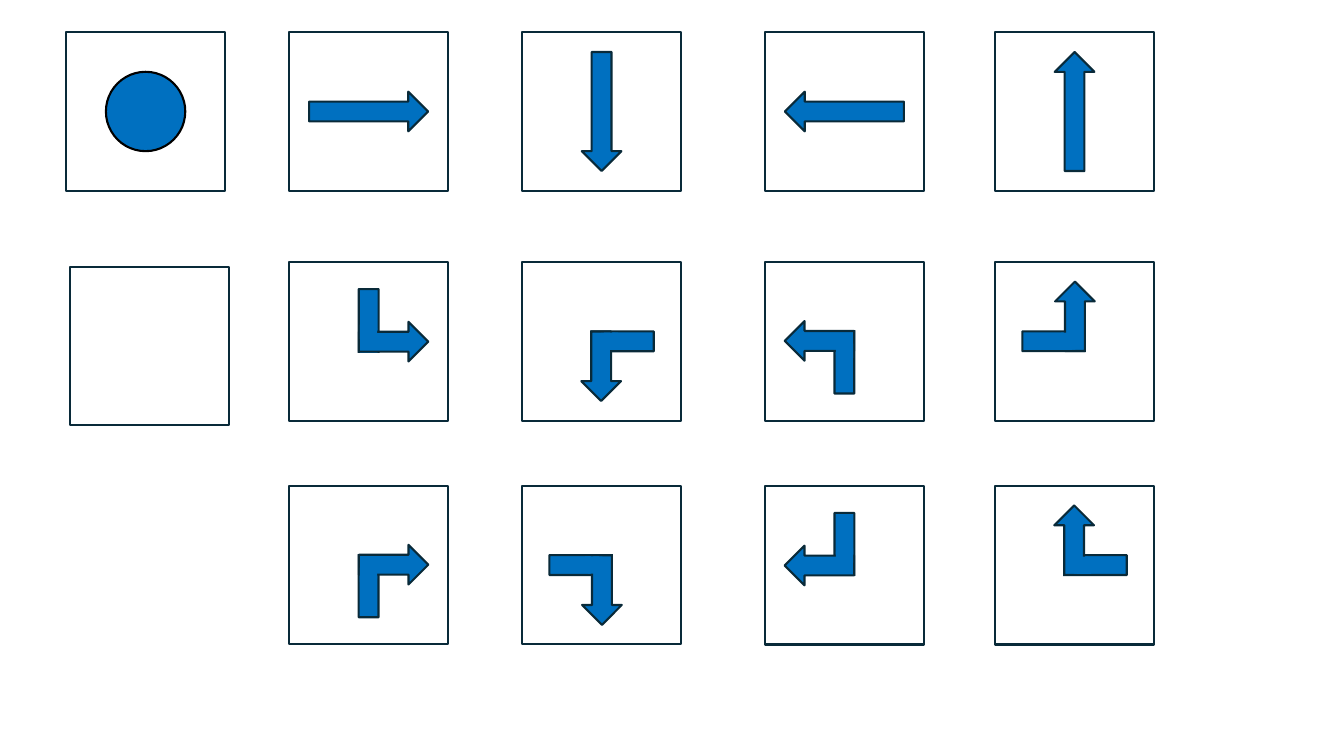
from dataclasses import dataclass
from pptx import Presentation
from pptx.dml.color import RGBColor
from pptx.enum.shapes import MSO_SHAPE as Preset
from pptx.util import Cm, Pt


@dataclass(frozen=True)
class Theme:
    paper: RGBColor = RGBColor(0xFF, 0xFF, 0xFF)
    symbol: RGBColor = RGBColor(0x00, 0x70, 0xC0)
    outline: RGBColor = RGBColor(0x09, 0x2A, 0x39)
    circle_outline: RGBColor = RGBColor(0x00, 0x00, 0x00)
    line_width: Pt = Pt(1.5)


THEME = Theme()

# All lengths are in centimetres.
TILE = 4
START_TILE = (1.67, 0.81)
EMPTY_TILE = (1.77, 6.72)
DIRECTION_LEFTS = (7.29, 13.16, 19.28, 25.08)  # right, down, left, up
STRAIGHT_TOP, TURN_TOP, MIRRORED_TURN_TOP = 0.81, 6.6, 12.24

CIRCLE = 2
STRAIGHT_SIZE = (3, 1)

# Parts of a turn that enters from the left and leaves upwards:
# preset, centre from the tile centre, size, rotation, fill, outline.
TURN_PARTS = (
    (Preset.RIGHT_ARROW, (-0.12, 0), (2.39, 1), 0,
     THEME.symbol, THEME.outline),
    (Preset.RECTANGLE, (0.91, 0.14), (1.2, 1.75), 0,
     THEME.paper, THEME.paper),
    (Preset.RIGHT_ARROW, (0.01, -0.63), (1.75, 1), 270,
     THEME.symbol, THEME.outline),
    (Preset.RECTANGLE, (-0.16, 0), (0.36, 0.43), 0, THEME.symbol, None),
    (Preset.RECTANGLE, (-0.24, 0.13), (0.36, 0.18), 0, THEME.symbol, None),
)


def add_figure(shapes, preset, centre, size, fill, outline=THEME.outline,
               rotation=0):
    """Add a filled preset shape around its centre."""
    (x, y), (width, height) = centre, size
    figure = shapes.add_shape(preset, Cm(x - width / 2), Cm(y - height / 2),
                              Cm(width), Cm(height))
    figure.shadow.inherit = False
    figure.rotation = rotation
    figure.fill.solid()
    figure.fill.fore_color.rgb = fill
    if outline is None:
        figure.line.fill.background()
    else:
        figure.line.color.rgb = outline
        figure.line.width = THEME.line_width


def add_tile(shapes, left, top, rotation=0):
    """Add a square tile and return its centre."""
    centre = (left + TILE / 2, top + TILE / 2)
    add_figure(shapes, Preset.RECTANGLE, centre, (TILE, TILE), THEME.paper,
               rotation=rotation)
    return centre


def add_start_tile(slide):
    card = slide.shapes.add_group_shape().shapes
    centre = add_tile(card, *START_TILE)
    add_figure(card, Preset.OVAL, centre, (CIRCLE, CIRCLE),
               THEME.symbol, THEME.circle_outline)


def add_straight_tile(slide, left, direction):
    card = slide.shapes.add_group_shape().shapes
    angle = 90 * direction
    centre = add_tile(card, left, STRAIGHT_TOP, angle)
    add_figure(card, Preset.RIGHT_ARROW, centre, STRAIGHT_SIZE,
               THEME.symbol, rotation=angle)


def add_turn_tile(slide, left, top, direction, mirrored):
    """Add a tile whose turn is mirrored if asked, then rotated clockwise."""
    card = slide.shapes.add_group_shape().shapes
    x, y = add_tile(card, left, top, 90 * direction)
    quarter_turns = (direction + 1) % 4
    for preset, (dx, dy), size, angle, fill, outline in TURN_PARTS:
        if mirrored:
            dx, angle = -dx, 180 - angle
        for _ in range(quarter_turns):
            dx, dy = -dy, dx
        add_figure(card, preset, (x + dx, y + dy), size, fill, outline,
                   (angle + 90 * quarter_turns) % 360)


def main():
    deck = Presentation()
    deck.slide_width, deck.slide_height = Cm(33.87), Cm(19.05)
    slide = deck.slides.add_slide(deck.slide_layouts[6])

    add_start_tile(slide)
    for direction, left in enumerate(DIRECTION_LEFTS):
        add_straight_tile(slide, left, direction)
    for top, mirrored in ((TURN_TOP, False), (MIRRORED_TURN_TOP, True)):
        for direction, left in enumerate(DIRECTION_LEFTS):
            add_turn_tile(slide, left, top, direction, mirrored)
    add_tile(slide.shapes, *EMPTY_TILE)

    deck.save("out.pptx")


if __name__ == "__main__":
    main()
